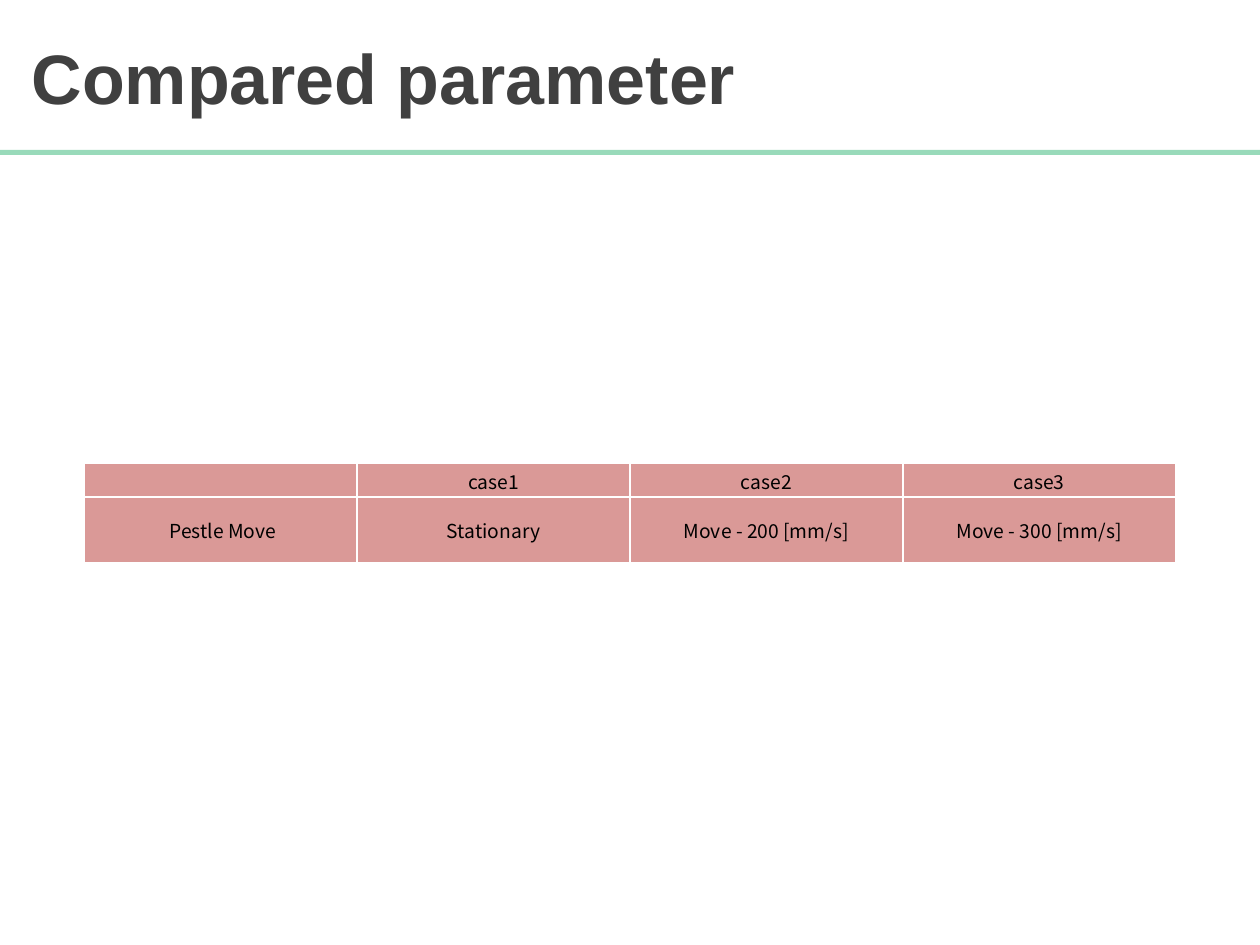
import dataclasses

import pptx
import pptx.dml.color
import pptx.enum.shapes
import pptx.enum.text
import pptx.oxml
import pptx.oxml.ns
import pptx.util

ANCHOR = pptx.enum.text.MSO_ANCHOR
ALIGN = pptx.enum.text.PP_ALIGN
WIDTH, HEIGHT = pptx.util.Inches(10), pptx.util.Inches(7.5)


@dataclasses.dataclass(frozen=True)
class TextStyle:
    font: str
    size: int
    color: str
    bold: bool
    align: ALIGN


@dataclasses.dataclass(frozen=True)
class Row:
    height: float
    labels: tuple[str, ...]


TITLE = TextStyle("Arial", 40, "404040", True, ALIGN.LEFT)
BODY = TextStyle("Noto Sans CJK KR", 11, "000000", False, ALIGN.CENTER)
ROWS = (
    Row(0.27, ("", "case1", "case2", "case3")),
    Row(0.52, (" Pestle Move", "Stationary", "Move - 200 [mm/s]", "Move - 300 [mm/s]")),
)


def rgb(value: str) -> pptx.dml.color.RGBColor:
    return pptx.dml.color.RGBColor.from_string(value)


def write(tf, text: str, style: TextStyle) -> None:
    p = tf.paragraphs[0]
    p.text = text
    p.alignment = style.align
    p.font.name = style.font
    p.font.size = pptx.util.Pt(style.size)
    p.font.bold = style.bold
    p.font.color.rgb = rgb(style.color)


def draw_borders(cell, color: str, points: float) -> None:
    tcPr = cell._tc.get_or_add_tcPr()
    for i, side in enumerate(("lnL", "lnR", "lnT", "lnB")):
        tcPr.insert(i, pptx.oxml.parse_xml(
            f'<a:{side} {pptx.oxml.ns.nsdecls("a")} w="{pptx.util.Pt(points)}">'
            f'<a:solidFill><a:srgbClr val="{color}"/></a:solidFill></a:{side}>'))


def draw_cell(cell, text: str) -> None:
    cell.margin_left = cell.margin_right = cell.margin_top = pptx.util.Inches(0.01)
    cell.margin_bottom = 0
    cell.vertical_anchor = ANCHOR.MIDDLE
    cell.fill.solid()
    cell.fill.fore_color.rgb = rgb("DA9997")
    draw_borders(cell, "FFFFFF", 1)
    write(cell.text_frame, text, BODY)


def draw_table(s, rows: tuple[Row, ...], left: float, top: float) -> None:
    """Draw a horizontally centred table; left and top are shares of the slide."""
    height = pptx.util.Inches(sum(row.height for row in rows))
    table = s.shapes.add_table(
        len(rows), len(rows[0].labels), int(WIDTH * left), int(HEIGHT * top),
        int(WIDTH * (1 - 2 * left)), height).table
    for r, row in enumerate(rows):
        table.rows[r].height = pptx.util.Inches(row.height)
        for c, label in enumerate(row.labels):
            draw_cell(table.cell(r, c), label)


def main() -> None:
    prs = pptx.Presentation()
    prs.slide_width, prs.slide_height = WIDTH, HEIGHT
    s = prs.slides.add_slide(prs.slide_layouts[6])

    # Title across the full width
    rule_top = pptx.util.Inches(1.19)
    title_top = pptx.util.Inches(0.02)
    sp = s.shapes.add_textbox(0, title_top, WIDTH, rule_top - title_top)
    tf = sp.text_frame
    tf.word_wrap = True
    tf.vertical_anchor = ANCHOR.MIDDLE
    write(tf, " Compared parameter", TITLE)

    # Rule under the title
    rule = s.shapes.add_shape(
        pptx.enum.shapes.MSO_SHAPE.RECTANGLE, 0, rule_top, WIDTH, pptx.util.Inches(0.04))
    rule.shadow.inherit = False
    rule.fill.solid()
    rule.fill.fore_color.rgb = rgb("99DABA")
    rule.line.fill.background()

    # Compared cases
    draw_table(s, ROWS, left=0.067, top=0.49)

    prs.save("out.pptx")


if __name__ == "__main__":
    main()
